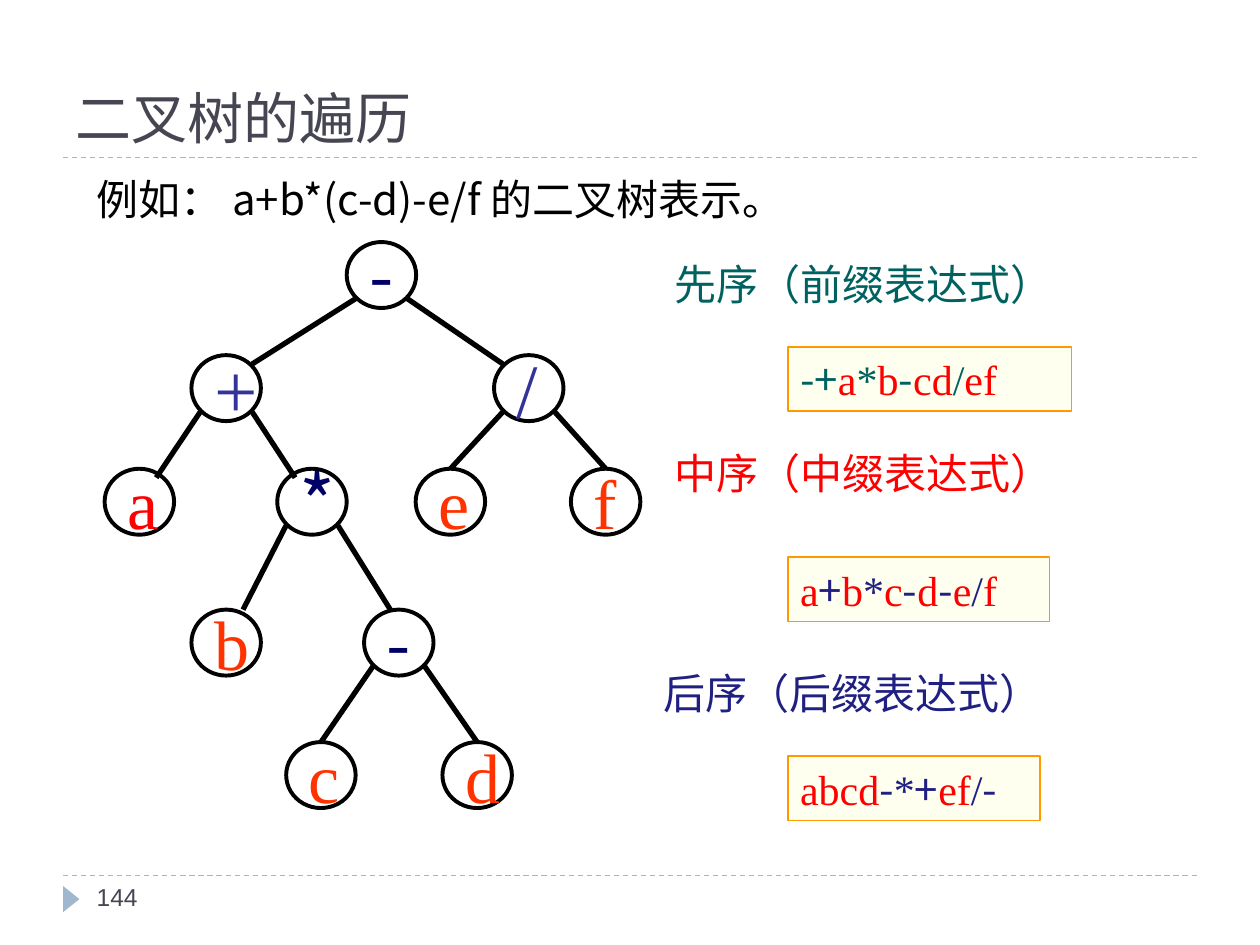
"""Build a slide on binary tree traversal with an expression tree."""
from itertools import groupby

from lxml import etree
from pptx import Presentation
from pptx.dml.color import RGBColor
from pptx.enum.dml import MSO_LINE
from pptx.enum.shapes import MSO_CONNECTOR, MSO_SHAPE
from pptx.enum.text import MSO_ANCHOR, PP_ALIGN
from pptx.oxml.ns import qn
from pptx.util import Cm, Pt

LINE, DASH = MSO_CONNECTOR.STRAIGHT, MSO_LINE.DASH
OVAL, RECT, TRIANGLE = MSO_SHAPE.OVAL, MSO_SHAPE.RECTANGLE, MSO_SHAPE.ISOSCELES_TRIANGLE
MIDDLE, BOTTOM, LEFT = MSO_ANCHOR.MIDDLE, MSO_ANCHOR.BOTTOM, PP_ALIGN.LEFT
SERIF, SANS, ARIAL = "Times New Roman", "Noto Sans CJK SC", "Arial"
BLACK, RED, ORANGE = "000000", "FF0000", "FF3300"
NAVY, INDIGO, TEAL, BLUE = "000066", "333399", "006260", "202082"
SLATE, PALE = "464653", "9FB8CD"

TITLE, PAGE = "二叉树的遍历", "144"
INTRO = "例如： a+b*(c-d)-e/f 的二叉树表示。"

ROWS = [4.88, 7.16, 9.45, 12.29, 14.96]
NODE_W, NODE_H = 1.4, 1.33
# name: (symbol, left, row, size, font, colour)
NODES = {
    "a": ("a", 2.11, 2, 40, SERIF, RED),
    "b": ("b", 3.86, 3, 40, SERIF, ORANGE),
    "c": ("c", 5.77, 4, 40, SERIF, ORANGE),
    "e": ("e", 8.38, 2, 40, SERIF, ORANGE),
    "f": ("f", 11.51, 2, 40, SERIF, ORANGE),
    "root": ("-", 6.99, 0, 40, SANS, NAVY),
    "plus": ("+", 3.86, 1, 44, SERIF, INDIGO),
    "times": ("*", 5.59, 2, 44, SANS, NAVY),
    "divide": ("/", 9.96, 1, 44, SERIF, INDIGO),
    "d": ("d", 8.92, 4, 40, SERIF, ORANGE),
    "minus": ("-", 7.34, 3, 40, SANS, NAVY),
}
EDGE_DX, EDGE_DY = 0.52, 1.14
EDGES = [
    ("root", "plus", 0.52, 0.18), ("root", "divide", -0.52, 0.18),
    ("plus", "a", 0.34, 0.18), ("plus", "times", -0.34, 0.18),
    ("times", "b", 0.34, 0), ("times", "minus", -0.17, 0),
    ("divide", "e", 0, 0), ("divide", "f", 0, 0),
    ("minus", "c", 0, 0), ("minus", "d", 0, 0),
]

ORDERS = [
    ("先序（前缀表达式）", (13.34, 5.08, 10.36), TEAL, "-+a*b-cd/ef", (6.99, 5.72)),
    ("中序（中缀表达式）", (13.34, 8.89, 10.36), RED, "a+b*c-d-e/f", (11.23, 5.28)),
    ("后序（后缀表达式）", (13.13, 13.34, 8.89), BLUE, "abcd-*+ef/-", (15.24, 5.08)),
]


def rgb(value):
    return RGBColor.from_string(value)


def style(r, size, font, color):
    r.font.size, r.font.name = Pt(size), font
    r.font.color.rgb = rgb(color)


def add_line(s, x1, y1, x2, y2, color, width):
    line = s.shapes.add_connector(LINE, Cm(x1), Cm(y1), Cm(x2), Cm(y2))
    line.line.color.rgb, line.line.width = rgb(color), Pt(width)
    etree.SubElement(line._element.spPr, qn("a:effectLst"))
    return line


def add_text(s, text, x, y, w, h, size, font, color):
    tf = s.shapes.add_textbox(Cm(x), Cm(y), Cm(w), Cm(h)).text_frame
    tf.word_wrap = True
    tf.text = text
    style(tf.paragraphs[0].runs[0], size, font, color)


def add_shape(s, kind, x, y, w, h, fill=None, line=None, width=1):
    sp = s.shapes.add_shape(kind, Cm(x), Cm(y), Cm(w), Cm(h))
    sp.shadow.inherit = False
    if fill:
        sp.fill.solid()
        sp.fill.fore_color.rgb = rgb(fill)
    else:
        sp.fill.background()
    if line:
        sp.line.color.rgb, sp.line.width = rgb(line), Pt(width)
    else:
        sp.line.fill.background()
    return sp


def add_node(s, symbol, x, row, size, font, color):
    sp = add_shape(s, OVAL, x, ROWS[row], NODE_W, NODE_H, line=BLACK, width=2.25)
    tf = sp.text_frame
    tf.word_wrap, tf.vertical_anchor = False, MIDDLE
    tf.text = symbol
    p = tf.paragraphs[0]
    p.alignment = LEFT
    style(p.runs[0], size, font, color)


def add_edge(s, parent, child, dx, dy):
    px, cx = (NODES[n][1] + NODE_W / 2 for n in (parent, child))
    py, cy = (ROWS[NODES[n][2]] for n in (parent, child))
    side = EDGE_DX if cx > px else -EDGE_DX
    add_line(s, px + side, py + EDGE_DY, cx + dx, cy + dy, BLACK, 3)


def add_expression(s, text, y, w, color):
    sp = add_shape(s, RECT, 15.88, y, w, 1.3, "FFFFEF", "FF9900")
    p = sp.text_frame.paragraphs[0]
    p.alignment = LEFT

    def look(ch):
        return SANS if ch in "+-" else SERIF, RED if ch.isalpha() else color

    for (font, run_color), chars in groupby(text, look):
        r = p.add_run()
        r.text = "".join(chars)
        style(r, 24, font, run_color)


def main():
    prs = Presentation()
    prs.slide_width, prs.slide_height = Cm(25.4), Cm(19.05)
    s = prs.slides.add_slide(prs.slide_layouts[5])

    title = s.shapes.title
    title.left, title.top, title.width, title.height = Cm(1.27), Cm(0.43), Cm(22.86), Cm(2.74)
    tf = title.text_frame
    tf.text, tf.vertical_anchor = TITLE, BOTTOM
    tf.paragraphs[0].alignment = LEFT
    style(tf.paragraphs[0].runs[0], 32, ARIAL, SLATE)

    for y in (17.65, 3.18):
        add_line(s, 1.27, y, 24.13, y, PALE, 0.75).line.dash_style = DASH
    add_shape(s, TRIANGLE, 1.17, 17.96, 0.53, 0.33, PALE).rotation = 90
    add_text(s, PAGE, 1.7, 17.65, 5.51, 1.02, 14, ARIAL, SLATE)
    add_text(s, INTRO, 1.7, 3.38, 21.59, 1.27, 24, SANS, BLACK)

    for node in NODES.values():
        add_node(s, *node)
    for edge in EDGES:
        add_edge(s, *edge)
    for label, (x, y, w), color, expression, (box_y, box_w) in ORDERS:
        add_text(s, label, x, y, w, 1.27, 24, SERIF, color)
        add_expression(s, expression, box_y, box_w, TEAL if color == TEAL else BLUE)

    prs.save("out.pptx")


if __name__ == "__main__":
    main()
